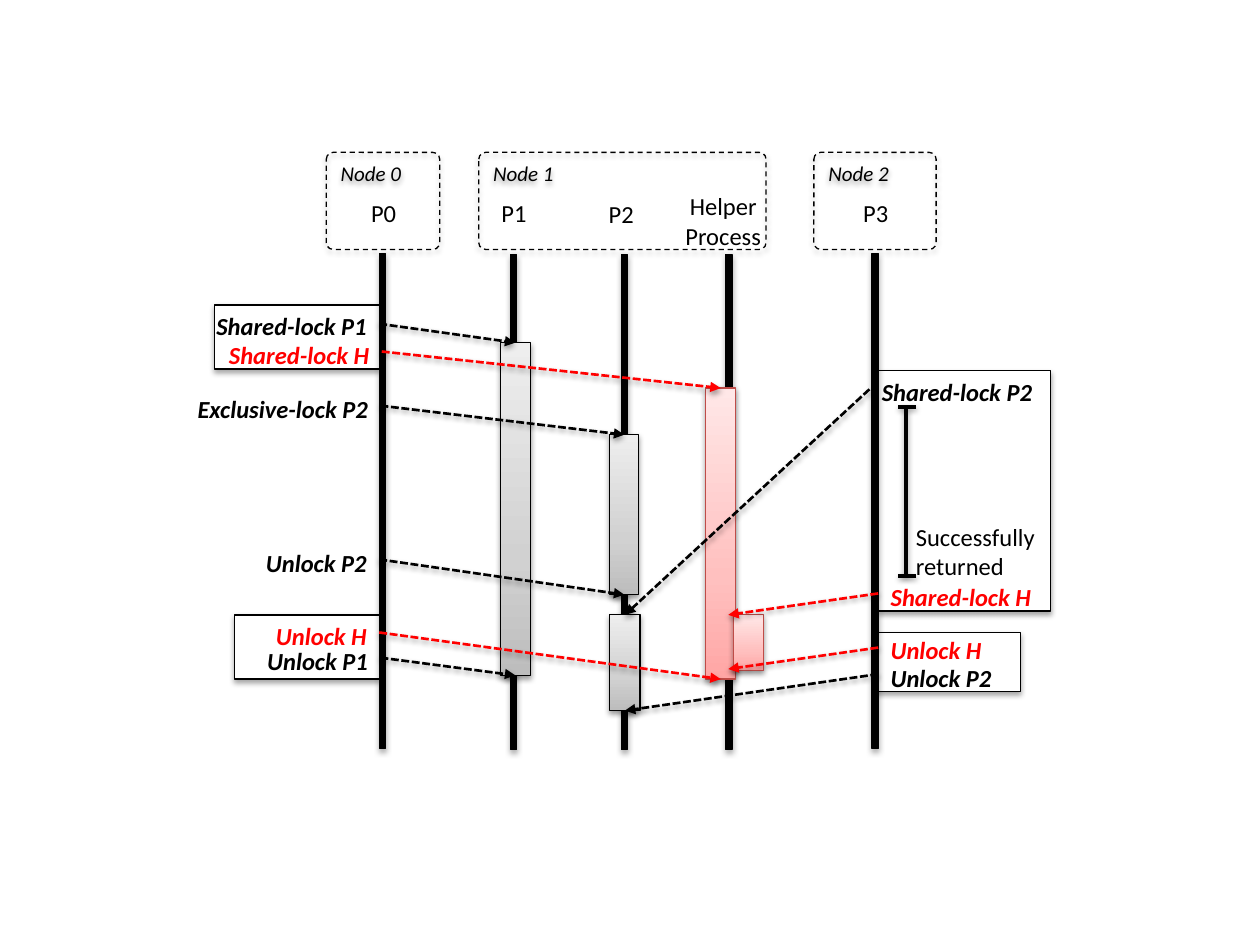
from copy import deepcopy

from pptx import Presentation
from pptx import util as u
from pptx.dml.color import RGBColor
from pptx.enum import dml, shapes, text
from pptx.oxml import parse_xml
from pptx.oxml.ns import nsdecls, qn

PX = 9144  # 100 px to the inch
BLACK = RGBColor(0, 0, 0)
WHITE = RGBColor(255, 255, 255)
RED = RGBColor(255, 0, 0)
BRICK = RGBColor(0xBF, 0x4C, 0x48)
GREYS = [RGBColor(0xBD, 0xBD, 0xBD), RGBColor(0xD1, 0xD1, 0xD1), RGBColor(0xEE, 0xEE, 0xEE)]
PINKS = [RGBColor(0xFF, 0xA6, 0xA5), RGBColor(0xFF, 0xC0, 0xBF), RGBColor(0xFF, 0xE7, 0xE7)]
LEFT, CENTER, RIGHT = text.PP_ALIGN.LEFT, text.PP_ALIGN.CENTER, text.PP_ALIGN.RIGHT
TOP, BOTTOM = 0, 2  # connection sites


class Diagram:
    font = {"name": "Calibri", "size": u.Pt(14)}

    def __init__(self, page):
        self.page = page

    def cast_shadow(self, shape, opacity=35, distance=23000):
        shape._element.spPr.append(parse_xml(
            f'<a:effectLst {nsdecls("a")}><a:outerShdw blurRad="40000" dist="{distance}" '
            f'dir="5400000" rotWithShape="0"><a:srgbClr val="000000">'
            f'<a:alpha val="{opacity * 1000}"/></a:srgbClr></a:outerShdw></a:effectLst>'))

    def put_words(self, frame, words, align=LEFT, color=BLACK, **extra):
        frame.word_wrap = True
        frame.vertical_anchor = text.MSO_ANCHOR.TOP
        para = frame.paragraphs[0]
        para.alignment = align
        span = para.add_run()
        span.text = words
        for name, value in {**self.font, **extra}.items():
            setattr(span.font, name, value)
        span.font.color.rgb = color

    def outline(self, x, y, width, height, color=BLACK, kind=shapes.MSO_SHAPE.RECTANGLE):
        box = self.page.shapes.add_shape(kind, *(n * PX for n in (x, y, width, height)))
        box.line.color.rgb = color
        box.line.width = u.Pt(0.75)
        return box

    def block(self, x, y, width, height, color):
        box = self.outline(x, y, width, height)
        box.fill.solid()
        box.fill.fore_color.rgb = color
        self.cast_shadow(box)

    def node(self, x, width, name):
        box = self.outline(x, 121, width, 77, kind=shapes.MSO_SHAPE.ROUNDED_RECTANGLE)
        box.adjustments[0] = 0.07
        box.fill.background()
        box.line.dash_style = dml.MSO_LINE.DASH
        self.cast_shadow(box)
        self.put_words(box.text_frame, name, size=u.Pt(12), italic=True)

    def bar(self, x, y, width, height, shades, color):
        box = self.outline(x, y, width, height, color)
        box.fill.gradient()
        box.fill.gradient_angle = 90
        stops = box._element.spPr.find(".//" + qn("a:gsLst"))
        stops.insert(1, deepcopy(stops[0]))
        for stop, place, shade in zip(box.fill.gradient_stops, (0, 0.35, 1), shades):
            stop.position = place
            stop.color.rgb = shade
        self.cast_shadow(box, 38, 20000)
        return box

    def label(self, x, y, width, height, words, align=LEFT, color=BLACK, **extra):
        box = self.page.shapes.add_textbox(*(n * PX for n in (x, y, width, height)))
        self.put_words(box.text_frame, words, align, color, **extra)

    def line(self, start, end, color=BLACK, weight=2, arrow=False, target=None):
        rule = self.page.shapes.add_connector(
            shapes.MSO_CONNECTOR.STRAIGHT, *(n * PX for n in (*start, *end)))
        if target:
            rule.end_connect(*target)
        rule.line.color.rgb = color
        rule.line.width = u.Pt(weight)
        if arrow:
            rule.line.dash_style = dml.MSO_LINE.SQUARE_DOT
            rule._element.spPr.find(qn("a:ln")).append(
                parse_xml(f'<a:tailEnd {nsdecls("a")} type="triangle"/>'))
        self.cast_shadow(rule, 38, 20000)

    def message(self, start, end, color=BLACK, target=None):
        self.line(start, end, color, 1.5, True, target)


def main():
    deck = Presentation()
    deck.slide_width, deck.slide_height = 1000 * PX, 750 * PX
    diagram = Diagram(deck.slides.add_slide(deck.slide_layouts[6]))

    # Frames around grouped calls
    for frame in ((186, 488, 115, 51), (170, 242, 131, 51),
                  (695, 502, 115, 47), (697, 294, 137, 191)):
        diagram.block(*frame, WHITE)

    # Process names and their lifelines
    for x, y, width, height, name in (
            (234, 152, 141, 34, "P0"), (380, 152, 56, 34, "P1"), (439, 153, 108, 34, "P2"),
            (520, 147, 108, 57, "Helper Process"), (624, 152, 142, 34, "P3")):
        diagram.label(x, y, width, height, name, CENTER)
    for x, y in ((301, 201), (405, 202), (493, 202), (576, 202), (692, 201)):
        diagram.block(x, y, 5, 393, BLACK)

    # Nodes
    for index, (x, width) in enumerate(((259, 90), (380, 228), (646, 97))):
        diagram.node(x, width, f"Node {index}")

    # Periods during which a lock is held
    p1_bar = diagram.bar(397, 272, 24, 264, GREYS, BLACK)
    p2_bar = diagram.bar(484, 345, 23, 127, GREYS, BLACK)
    helper_bar = diagram.bar(560, 308, 24, 231, PINKS, BRICK)
    diagram.bar(582, 488, 24, 44, PINKS, BRICK)
    p2_late_bar = diagram.bar(484, 488, 24, 76, GREYS, BLACK)

    # Calls made by P0 (right-aligned) and P3 (left-aligned)
    for x, y, width, words, align, color in (
            (160, 242, 141, "Shared-lock P1", RIGHT, BLACK),
            (144, 265, 159, "Shared-lock H", RIGHT, RED),
            (144, 308, 158, "Exclusive-lock P2", RIGHT, BLACK),
            (178, 430, 123, "Unlock P2", RIGHT, BLACK),
            (178, 488, 123, "Unlock H", RIGHT, RED),
            (179, 508, 123, "Unlock P1", RIGHT, BLACK),
            (690, 294, 143, "Shared-lock P2", LEFT, BLACK),
            (697, 457, 145, "Shared-lock H", LEFT, RED),
            (697, 499, 123, "Unlock H", LEFT, RED),
            (697, 521, 123, "Unlock P2", LEFT, BLACK)):
        diagram.label(x, y, width, 29, words, align, color, bold=True, italic=True)

    # Messages to the middle of a bar's top or bottom
    for start, bar, site, color in (
            ((690, 309), p2_late_bar, TOP, BLACK), ((697, 535), p2_late_bar, BOTTOM, BLACK),
            ((301, 257), p1_bar, TOP, BLACK), ((302, 522), p1_bar, BOTTOM, BLACK),
            ((302, 322), p2_bar, TOP, BLACK), ((301, 444), p2_bar, BOTTOM, BLACK),
            ((303, 279), helper_bar, TOP, RED), ((301, 502), helper_bar, BOTTOM, RED)):
        diagram.message(start, start, color, (bar, site))

    # Messages from P3 to the helper's lifeline
    for y in (471, 514):
        diagram.message((697, y), (578, y + 17), RED)

    # Waiting time of P3
    diagram.label(717, 409, 118, 57, "Successfully returned")
    diagram.line((719, 323), (719, 457))
    for y in (323, 457):
        diagram.line((727, y), (713, y))

    deck.save("out.pptx")


if __name__ == "__main__":
    main()
